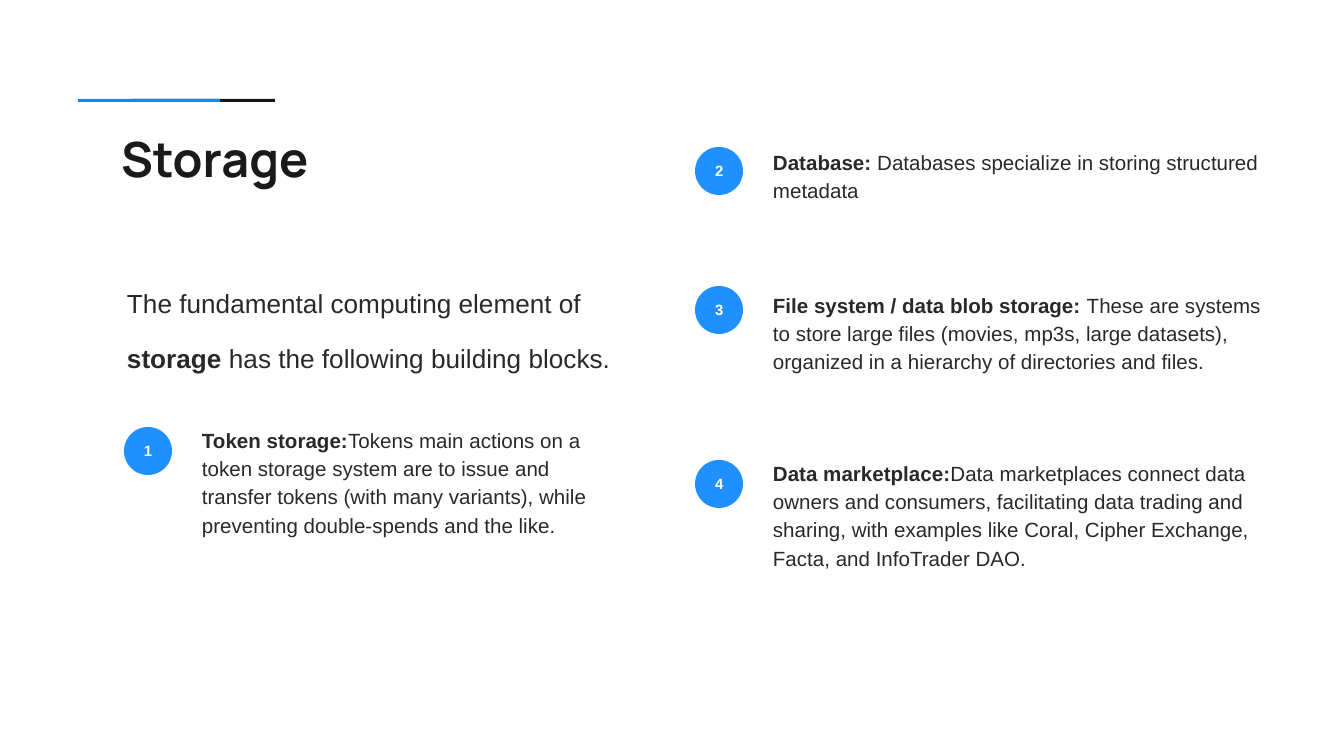
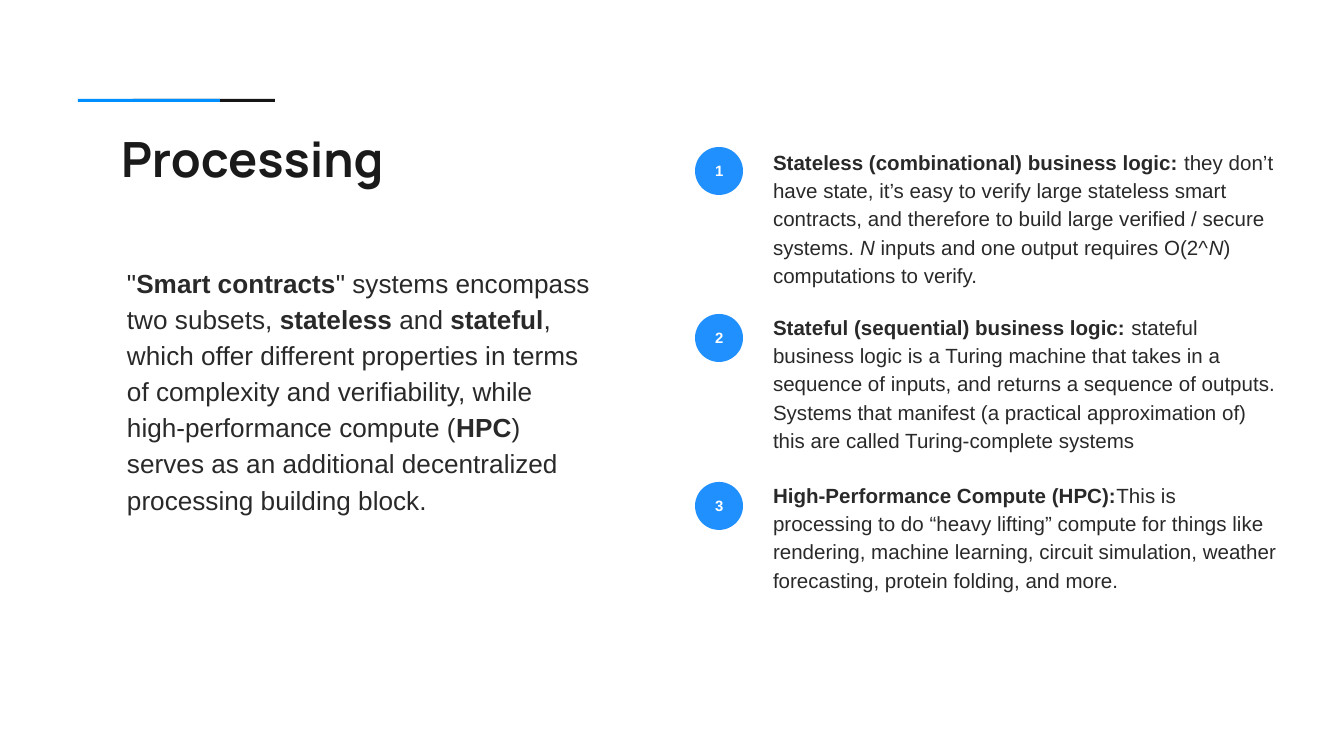
import pptx
import pptx.dml.color
import pptx.enum.shapes
import pptx.enum.text
import pptx.util

EMU_PER_PX = 914400 / 134.4
INSET = 13

# Shared colours and fonts
WHITE = "FFFFFF"
TITLE_INK = "1A1A1A"
BODY_INK = "292929"
BADGE_BLUE = "2090FF"
BAND_BLUE = "008FFF"
BAND_BLACK = "151516"
TITLE_FONT = "Manrope"
BODY_FONT = "Arial"

# Shared layout
LEFT_COLUMN = 124
RIGHT_COLUMN = 695
BADGE_SIZE = 48
BADGE_TO_TEXT = 65


def px(length):
    return pptx.util.Emu(round(length * EMU_PER_PX))


def color(hex_string):
    return pptx.dml.color.RGBColor.from_string(hex_string)


def add_runs(paragraph, runs, size, ink, font=BODY_FONT):
    """Each run is (text, style); the style holds b for bold, i for italic."""
    for text, style in runs:
        run = paragraph.add_run()
        run.text = text
        run.font.name = font
        run.font.size = pptx.util.Pt(size)
        run.font.color.rgb = color(ink)
        run.font.bold = "b" in style
        run.font.italic = "i" in style


def set_frame(frame):
    frame.word_wrap = True
    frame.margin_left = frame.margin_right = px(INSET)
    frame.margin_top = frame.margin_bottom = px(INSET)


def add_filled(slide, kind, left, top, width, height, fill):
    shape = slide.shapes.add_shape(kind, px(left), px(top), px(width), px(height))
    shape.shadow.inherit = False
    shape.fill.solid()
    shape.fill.fore_color.rgb = color(fill)
    shape.line.fill.background()
    return shape


def add_text(slide, left, top, width, height, runs, size, ink=BODY_INK,
             font=BODY_FONT, line_spacing=None, space_after=None):
    box = slide.shapes.add_textbox(px(left), px(top), px(width), px(height))
    set_frame(box.text_frame)
    paragraph = box.text_frame.paragraphs[0]
    paragraph.line_spacing = line_spacing
    if space_after:
        paragraph.space_after = pptx.util.Pt(space_after)
    add_runs(paragraph, runs, size, ink, font)
    return box


def add_titled_slide(deck, title):
    slide = deck.slides.add_slide(deck.slide_layouts[6])
    slide.background.fill.solid()
    slide.background.fill.fore_color.rgb = color(WHITE)
    # Two overlapping bands above the title
    for left, fill in ((133, BAND_BLACK), (78, BAND_BLUE)):
        add_filled(slide, pptx.enum.shapes.MSO_SHAPE.RECTANGLE, left, 99, 142, 3, fill)
    add_text(slide, 108, 116, 460, 79, [(title, "b")], 26, TITLE_INK, TITLE_FONT)
    return slide


def add_intro(slide, width, height, line_spacing, runs):
    intro = add_text(slide, 114, 250, width, height, runs, 14, line_spacing=line_spacing)
    intro.text_frame.auto_size = pptx.enum.text.MSO_AUTO_SIZE.SHAPE_TO_FIT_TEXT


def add_block(slide, number, left, badge_top, text_top, width, height, runs):
    """A numbered badge with its description to the right."""
    badge = add_filled(slide, pptx.enum.shapes.MSO_SHAPE.OVAL,
                       left, badge_top, BADGE_SIZE, BADGE_SIZE, BADGE_BLUE)
    set_frame(badge.text_frame)
    badge.text_frame.vertical_anchor = pptx.enum.text.MSO_ANCHOR.MIDDLE
    label = badge.text_frame.paragraphs[0]
    label.alignment = pptx.enum.text.PP_ALIGN.CENTER
    add_runs(label, [(str(number), "b")], 8, WHITE)
    add_text(slide, left + BADGE_TO_TEXT, text_top, width, height, runs, 11,
             line_spacing=1.15, space_after=16)


def build_storage(deck):
    slide = add_titled_slide(deck, "Storage")
    add_intro(slide, 542, 199, 1.77, [
        ("The fundamental computing element of ", ""),
        ("storage", "b"),
        (" has the following building blocks.", ""),
    ])
    blocks = [
        (LEFT_COLUMN, 427, 411, 427, 155, "Token storage:",
         "Tokens main actions on a token storage system are to issue and transfer "
         "tokens (with many variants), while preventing double-spends and the like."),
        (RIGHT_COLUMN, 147, 133, 523, 86, "Database: ",
         "Databases specialize in storing structured metadata"),
        (RIGHT_COLUMN, 286, 276, 523, 101, "File system / data blob storage: ",
         "These are systems to store large files (movies, mp3s, large datasets), "
         "organized in a hierarchy of directories and files."),
        (RIGHT_COLUMN, 460, 444, 523, 155, "Data marketplace:",
         "Data marketplaces connect data owners and consumers, facilitating data "
         "trading and sharing, with examples like Coral, Cipher Exchange, Facta, "
         "and InfoTrader DAO."),
    ]
    for number, (*place, heading, description) in enumerate(blocks, 1):
        add_block(slide, number, *place, [(heading, "b"), (description, "")])


def build_processing(deck):
    slide = add_titled_slide(deck, "Processing")
    add_intro(slide, 493, 277, 1.15, [
        ('"', ""),
        ("Smart contracts", "b"),
        ('" systems encompass two subsets, ', ""),
        ("stateless", "b"),
        (" and ", ""),
        ("stateful", "b"),
        (", which offer different properties in terms of complexity and "
         "verifiability, while high-performance compute (", ""),
        ("HPC", "b"),
        (") serves as an additional decentralized processing building block.", ""),
    ])
    blocks = [
        (147, 133, [
            ("Stateless (combinational) business logic: ", "b"),
            ("they don’t have state, it’s easy to verify large stateless smart "
             "contracts, and therefore to build large verified / secure systems. ", ""),
            ("N ", "i"),
            ("inputs and one output requires O(2^", ""),
            ("N", "i"),
            (") computations to verify.", ""),
        ]),
        (314, 298, [
            ("Stateful (sequential) business logic: ", "b"),
            ("stateful business logic is a Turing machine that takes in a sequence "
             "of inputs, and returns a sequence of outputs. Systems that manifest "
             "(a practical approximation of) this are called Turing-complete systems", ""),
        ]),
        (482, 466, [
            ("High-Performance Compute (HPC):", "b"),
            ("This is processing to do “heavy lifting” compute for things like "
             "rendering, machine learning, circuit simulation, weather forecasting, "
             "protein folding, and more.", ""),
        ]),
    ]
    for number, (badge_top, text_top, runs) in enumerate(blocks, 1):
        add_block(slide, number, RIGHT_COLUMN, badge_top, text_top, 531, 155, runs)


def main():
    deck = pptx.Presentation()
    deck.slide_width = px(1344)
    deck.slide_height = px(756)
    build_storage(deck)
    build_processing(deck)
    deck.save("out.pptx")


if __name__ == "__main__":
    main()
